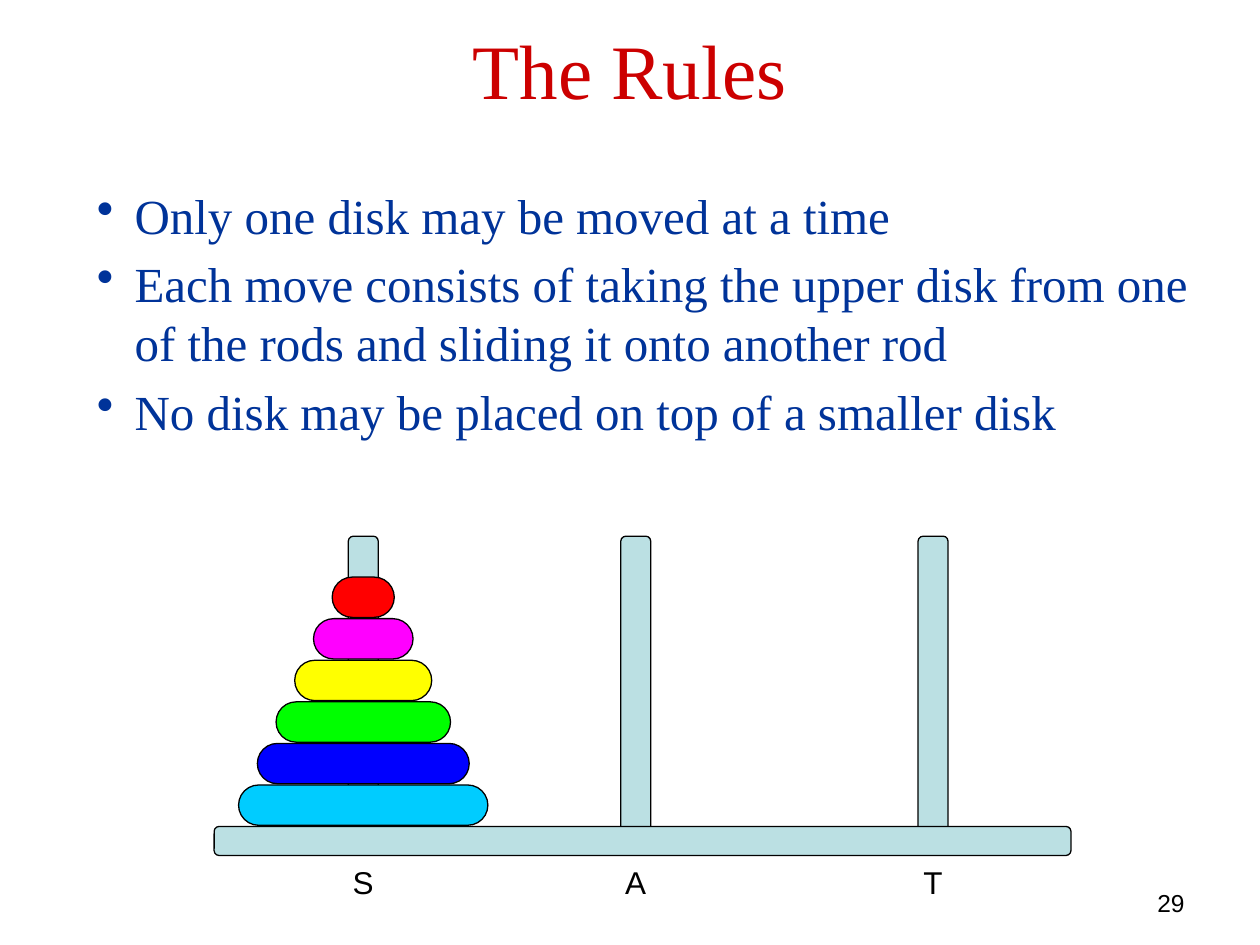
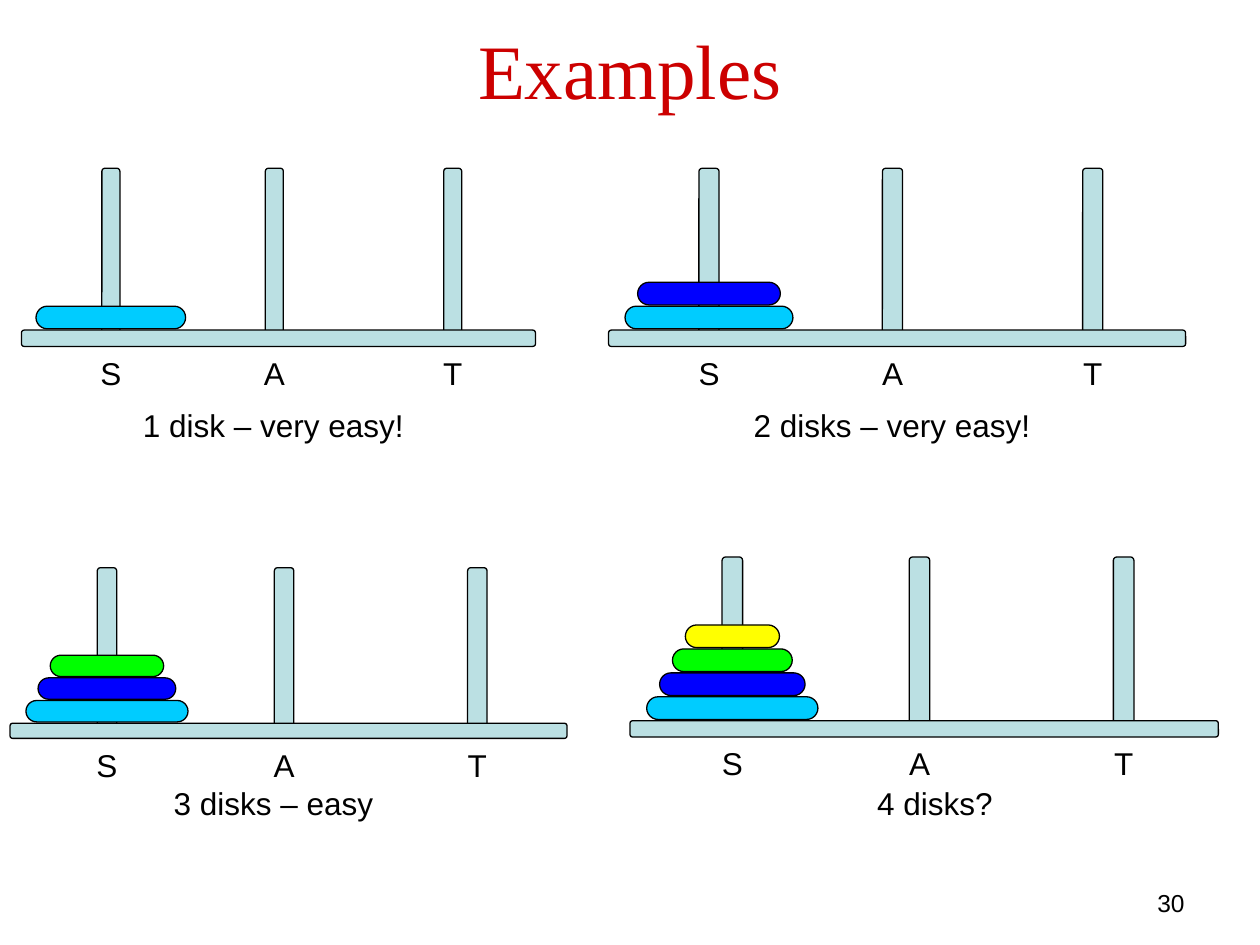
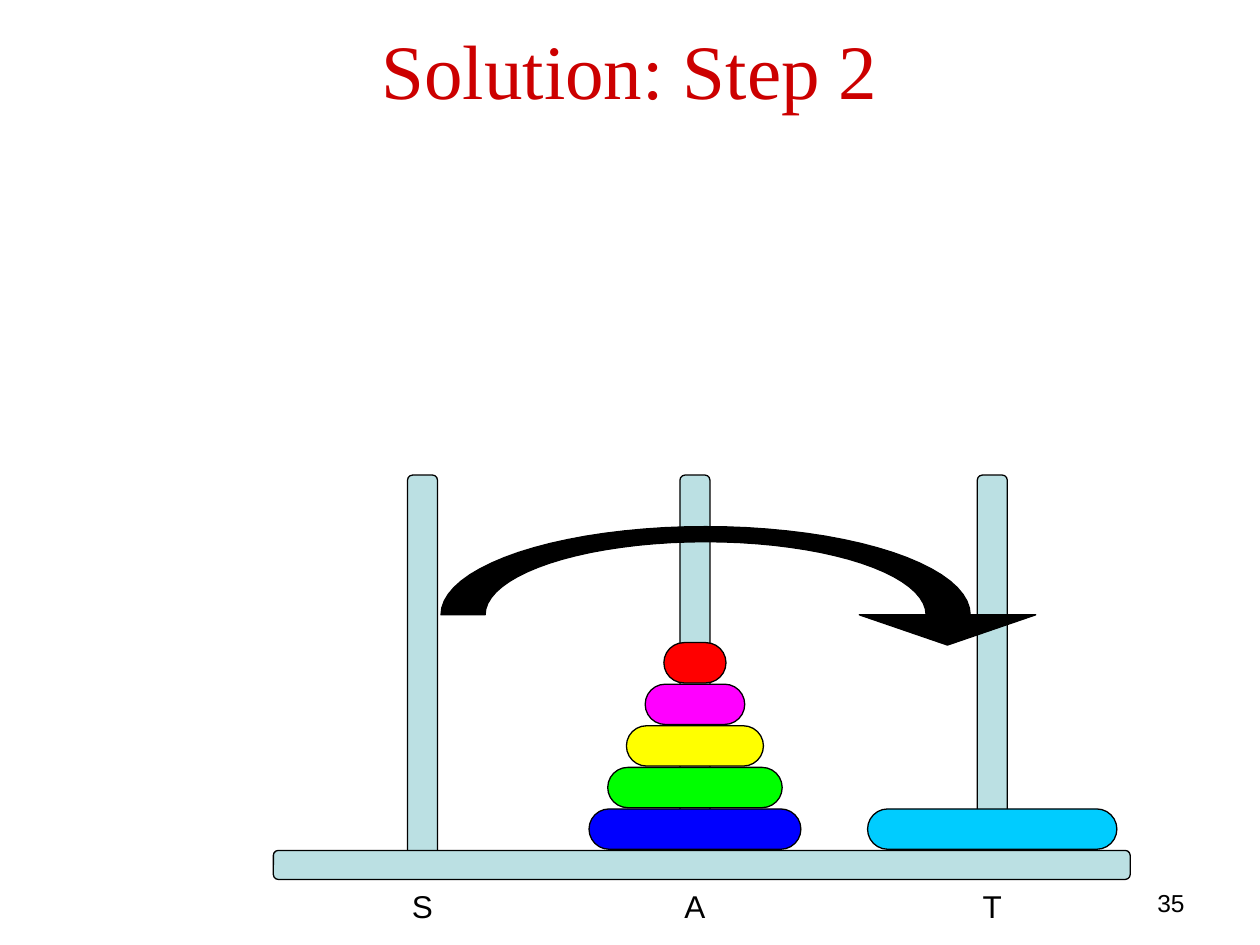
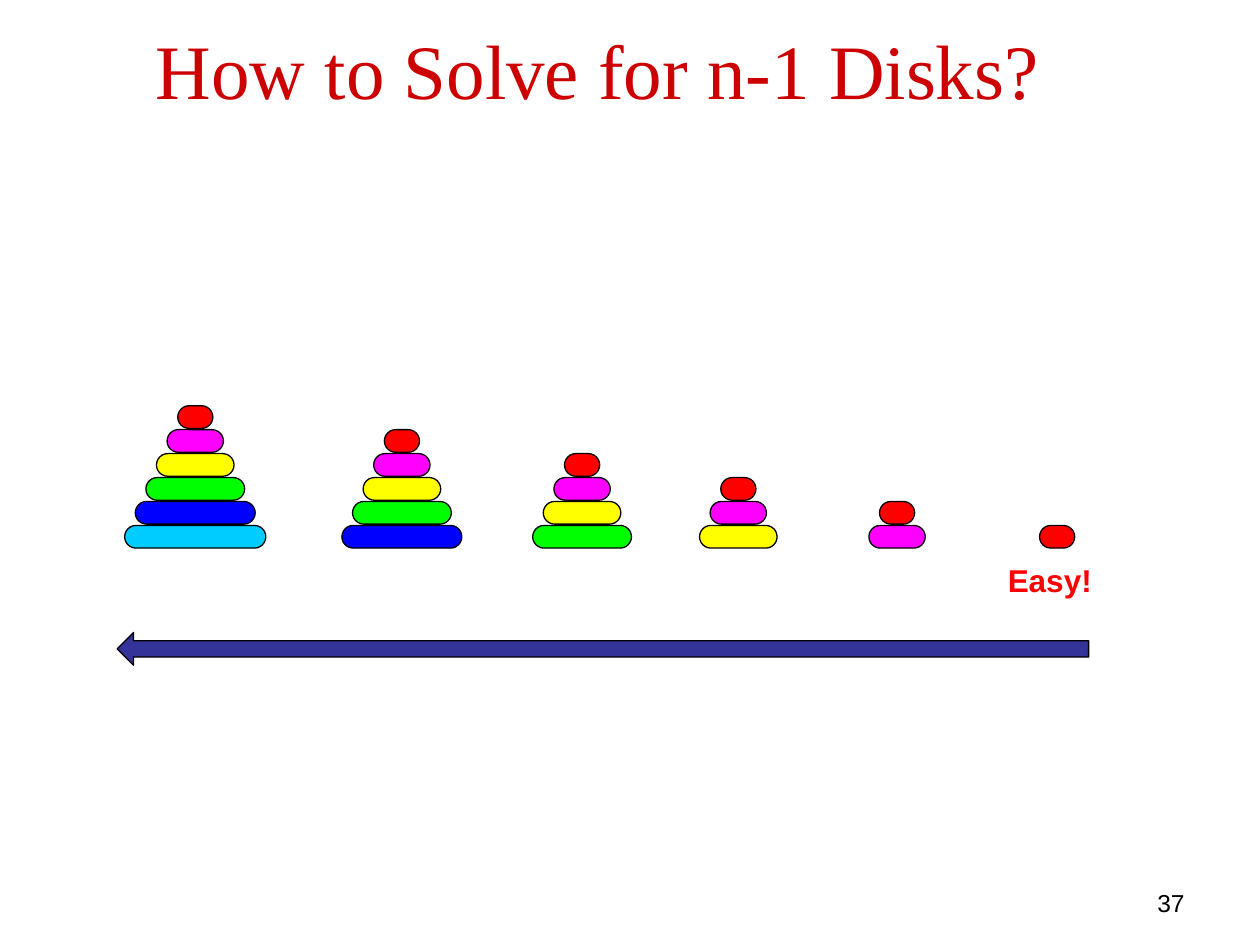
import math
from dataclasses import dataclass
from typing import Any

from lxml import etree
from pptx import Presentation
from pptx import util as u
from pptx.dml.color import RGBColor
from pptx.enum import shapes, text
from pptx.oxml import ns

HUES = {
    "title": "CC0000", "body": "003399", "ink": "000000", "wood": "BBE0E3",
    "arrow": "333399", "easy": "FF0000",
    "cyan": "00CCFF", "blue": "0000FF", "green": "00FF00",
    "yellow": "FFFF00", "pink": "FF00FF", "red": "FF0000",
}
DISKS = ["cyan", "blue", "green", "yellow", "pink", "red"]
SERIF, SANS = "Times New Roman", "Arial"
RODS = {"S": 0.174, "T": 0.839, "A": 0.492}
ROUND = shapes.MSO_SHAPE.ROUNDED_RECTANGLE
ALIGN = text.PP_ALIGN


@dataclass
class Box:
    left: float
    top: float
    width: float
    height: float

    def emu(self) -> list[int]:
        return [u.Inches(n) for n in (self.left, self.top, self.width, self.height)]


@dataclass
class Font:
    name: str
    size: float
    hue: str = "ink"
    bold: bool = False


@dataclass
class Pile:
    rod: str
    first: int
    count: int


@dataclass
class Board:
    left: float
    top: float
    span: float
    bar: float
    pitch: float
    rodmid: float
    rodlen: float
    piles: list[Pile]


@dataclass
class Case:
    board: Board
    note: str
    box: Box


TITLE = Box(0.5, -0.08, 9, 1.25)
LABEL = Font(SANS, 18)


def color(hue: str) -> RGBColor:
    return RGBColor.from_string(HUES[hue])


def paint(shape: Any, hue: str) -> None:
    shape.shadow.inherit = False
    shape.fill.solid()
    shape.fill.fore_color.rgb = color(hue)
    shape.line.color.rgb = color("ink")
    shape.line.width = u.Pt(0.75)


def block(parts: Any, kind: Any, box: Box, hue: str, adj: float) -> Any:
    shape = parts.add_shape(kind, *box.emu())
    shape.adjustments[0] = adj
    paint(shape, hue)
    return shape


def write(parts: Any, box: Box, lines: list[str], font: Font,
          align: Any = ALIGN.CENTER, grow: bool = False) -> Any:
    frame = parts.add_textbox(*box.emu()).text_frame
    frame.word_wrap = True
    if grow:
        frame.auto_size = text.MSO_AUTO_SIZE.SHAPE_TO_FIT_TEXT
    frame.text = "\n".join(lines)
    for para in frame.paragraphs:
        para.alignment = align
        para.font.name = font.name
        para.font.size = u.Pt(font.size)
        para.font.bold = font.bold
        para.font.color.rgb = color(font.hue)
    return frame


def bullet(para: Any) -> None:
    para.space_before = u.Pt(5.6)
    props = para._p.get_or_add_pPr()
    props.set("marL", str(u.Inches(0.3)))
    props.set("indent", str(-u.Inches(0.3)))
    mark = etree.Element(ns.qn("a:buChar"), char="•")
    props.insert_element_before(mark, "a:tabLst", "a:defRPr", "a:extLst")


def stack(parts: Any, mid: float, floor: float, span: float, pitch: float,
          first: int, count: int) -> None:
    for row in range(count):
        disk = first + row
        width = span * (0.291 - 0.0437 * disk)
        box = Box(mid - width / 2, floor - pitch * (row + 1), width, pitch - 0.01)
        block(parts, ROUND, box, DISKS[disk], 0.5)


def draw(parts: Any, board: Board) -> None:
    mids = {name: board.left + part * board.span for name, part in RODS.items()}
    thick = 0.035 * board.span
    for mid in mids.values():
        box = Box(mid - board.rodlen / 2, board.rodmid - thick / 2, board.rodlen, thick)
        block(parts, ROUND, box, "wood", 0.167).rotation = 270
    block(parts, ROUND, Box(board.left, board.top, board.span, board.bar), "wood", 0.167)
    for pile in board.piles:
        stack(parts, mids[pile.rod], board.top, board.span, board.pitch,
              pile.first, pile.count)
    width = 0.112 * board.span
    for name, mid in mids.items():
        box = Box(mid - width / 2, board.top + board.bar + 0.01, width, 0.4)
        write(parts, box, [name], LABEL, grow=True)


def start(deck: Any, title: str, page: int, box: Box = TITLE) -> Any:
    parts = deck.slides.add_slide(deck.slide_layouts[6]).shapes
    write(parts, Box(7.17, 7, 2.33, 0.25), [str(page)], Font(SANS, 14), ALIGN.RIGHT)
    frame = write(parts, box, [title], Font(SERIF, 44, "title"))
    frame.vertical_anchor = text.MSO_ANCHOR.MIDDLE
    return parts


def rules(deck: Any) -> None:
    parts = start(deck, "The Rules", 29)
    lines = [
        "Only one disk may be moved at a time",
        "Each move consists of taking the upper disk from one of the rods"
        " and sliding it onto another rod",
        "No disk may be placed on top of a smaller disk",
    ]
    frame = write(parts, Box(0.67, 1.42, 8.92, 5.75), lines,
                  Font(SERIF, 28, "body"), ALIGN.LEFT)
    for para in frame.paragraphs:
        bullet(para)
    draw(parts, Board(1.7, 6.56, 6.8, 0.23, 0.33, 5.48, 2.45, [Pile("S", 0, 6)]))


def samples(deck: Any) -> None:
    parts = start(deck, "Examples", 30)
    cases = [
        Case(Board(0.17, 2.62, 4.08, 0.13, 0.19, 2.02, 1.37, [Pile("S", 0, 1)]),
             "1 disk – very easy!", Box(0.42, 3.17, 3.5, 0.4)),
        Case(Board(4.83, 2.62, 4.58, 0.13, 0.19, 2.02, 1.37, [Pile("S", 0, 2)]),
             "2 disks – very easy!", Box(5.33, 3.17, 3.5, 0.4)),
        Case(Board(0.08, 5.74, 4.42, 0.12, 0.18, 5.16, 1.31, [Pile("S", 0, 3)]),
             "3 disks – easy", Box(0.42, 6.17, 3.5, 0.4)),
        Case(Board(5, 5.72, 4.67, 0.13, 0.19, 5.11, 1.38, [Pile("S", 0, 4)]),
             "4 disks?", Box(5.67, 6.17, 3.5, 0.4)),
    ]
    for case in cases:
        group = parts.add_group_shape().shapes
        draw(group, case.board)
        write(group, case.box, [case.note], LABEL, grow=True)


def arc(wide: float, high: float) -> list[tuple[float, float]]:
    turns = [math.pi * n / 40 for n in range(41)]
    return [(5.6 + wide * math.cos(t), 4.88 - high * math.sin(t)) for t in turns]


def step(deck: Any) -> None:
    parts = start(deck, "Solution: Step 2", 35)
    draw(parts, Board(2.17, 6.75, 6.8, 0.23, 0.33, 5.33, 3.12,
                      [Pile("T", 0, 1), Pile("A", 1, 5)]))
    head = [(8.22, 4.88), (7.52, 5.12), (6.82, 4.88)]
    spots = arc(1.75, 0.58) + arc(2.1, 0.7)[::-1] + head
    dots = [(u.Inches(x), u.Inches(y)) for x, y in spots]
    curve = parts.build_freeform(*dots[0])
    curve.add_line_segments(dots[1:], close=True)
    paint(curve.convert_to_shape(), "ink")


def solve(deck: Any) -> None:
    parts = start(deck, "How to Solve for n-1 Disks?", 37, Box(0.83, -0.08, 7.83, 1.25))
    for first, mid in enumerate([1.55, 3.19, 4.62, 5.86, 7.12, 8.39]):
        count = len(DISKS) - first
        group = parts.add_group_shape().shapes if count > 1 else parts
        stack(group, mid, 4.36, 3.85, 0.19, first, count)
    write(parts, Box(7.9, 4.4, 0.94, 0.4), ["Easy!"],
          Font(SANS, 18, "easy", True), ALIGN.LEFT, grow=True)
    block(parts, shapes.MSO_SHAPE.LEFT_ARROW, Box(0.93, 5.02, 7.71, 0.26), "arrow", 0.5)


def main() -> None:
    deck = Presentation()
    deck.slide_width, deck.slide_height = u.Inches(10), u.Inches(7.5)
    for build in (rules, samples, step, solve):
        build(deck)
    deck.save("out.pptx")


if __name__ == "__main__":
    main()
